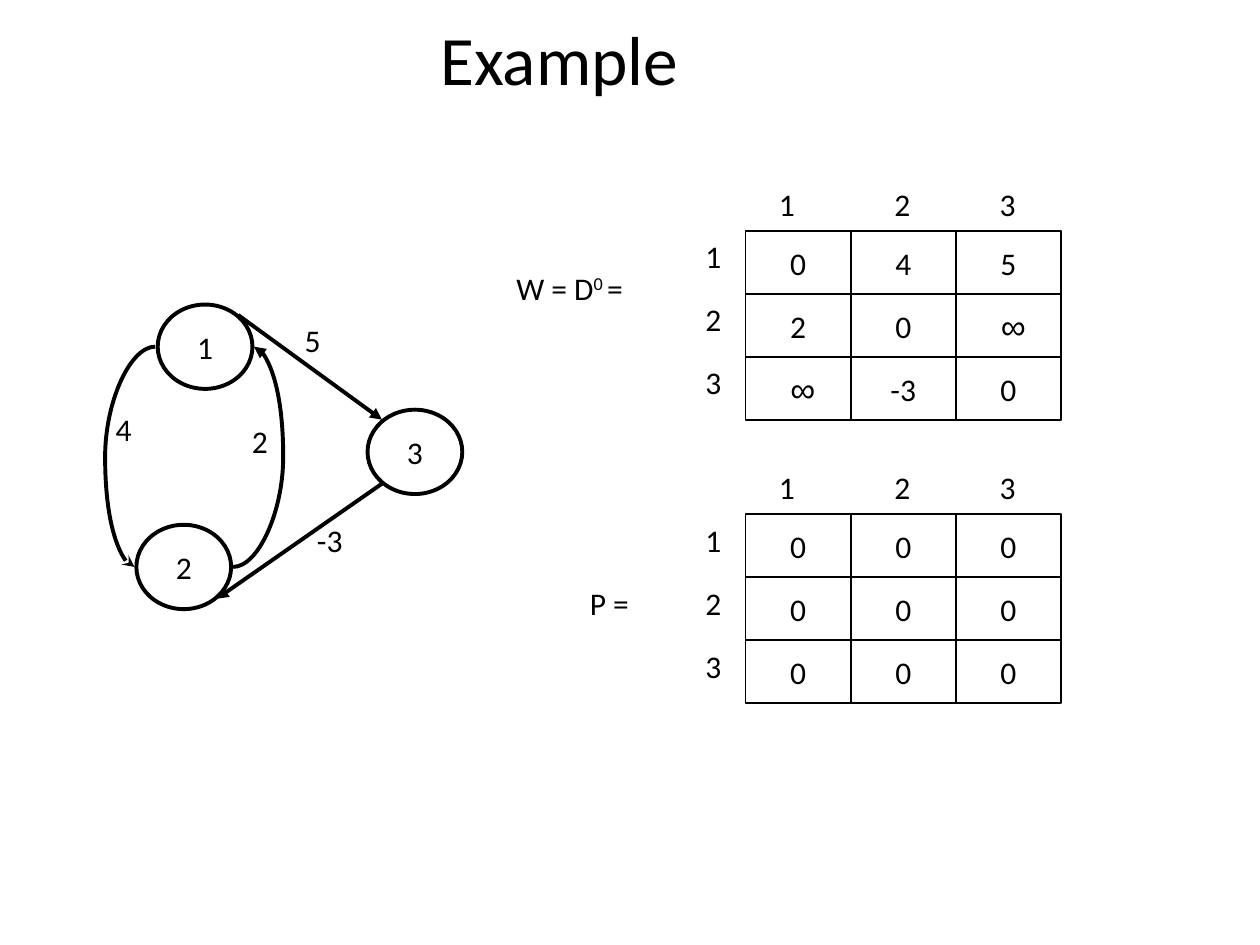
from pptx import Presentation
from pptx.dml.color import RGBColor
from pptx.enum.shapes import MSO_CONNECTOR, MSO_SHAPE
from pptx.enum.text import MSO_ANCHOR, MSO_AUTO_SIZE, PP_ALIGN
from pptx.oxml.xmlchemy import OxmlElement
from pptx.util import Cm, Pt

BLACK = RGBColor(0, 0, 0)
CELL_W, CELL_H = 2.12, 1.27
LABEL_W = 0.94
MATRIX_LEFT = 15.03
ROW_LABEL_LEFT = 13.97
COLUMN_LABEL_LEFTS = (15.45, 17.78, 19.9)
COLUMN_LABEL_RISE = 1.06
NODE_W, NODE_H = 1.91, 1.7
INFINITY = " ∞"


def write(p, text, size=18, font="Calibri", color=BLACK, baseline=None):
    r = p.add_run()
    r.text = text
    r.font.size = Pt(size)
    r.font.name = font
    r.font.color.rgb = color
    if baseline:
        r.font._element.set("baseline", str(baseline))
    return r


class SlideBuilder:
    def __init__(self, s, line_color=BLACK, graph_line=2.25, cell_line=1):
        self.s = s
        self.line_color = line_color
        self.graph_line = graph_line
        self.cell_line = cell_line

    def title(self, text, left, top, width, height):
        sp = self.s.shapes.title
        sp.left, sp.top, sp.width, sp.height = map(Cm, (left, top, width, height))
        tf = sp.text_frame
        tf.auto_size = MSO_AUTO_SIZE.NONE
        tf.vertical_anchor = MSO_ANCHOR.MIDDLE
        p = tf.paragraphs[0]
        p.alignment = PP_ALIGN.CENTER
        write(p, text, size=39.6)

    def label(self, text, left, top, width=LABEL_W, shapes=None):
        shapes = shapes or self.s.shapes
        sp = shapes.add_textbox(Cm(left), Cm(top), Cm(width), Cm(CELL_H))
        tf = sp.text_frame
        tf.word_wrap = False
        tf.auto_size = MSO_AUTO_SIZE.SHAPE_TO_FIT_TEXT
        p = tf.paragraphs[0]
        if text:
            write(p, text)
        return p

    def outlined(self, shapes, kind, text, left, top, width, height, weight):
        sp = shapes.add_shape(kind, Cm(left), Cm(top), Cm(width), Cm(height))
        sp.shadow.inherit = False
        sp.fill.background()
        sp.line.color.rgb = self.line_color
        sp.line.width = Pt(weight)
        tf = sp.text_frame
        tf.word_wrap = False
        tf.vertical_anchor = MSO_ANCHOR.MIDDLE
        p = tf.paragraphs[0]
        p.alignment = PP_ALIGN.CENTER
        if text == INFINITY:
            write(p, text, size=20, font="Arial")
        else:
            write(p, text)

    def node(self, text, left, top):
        self.outlined(self.s.shapes, MSO_SHAPE.OVAL, text, left, top,
                      NODE_W, NODE_H, self.graph_line)

    def matrix(self, top, rows):
        shapes = self.s.shapes.add_group_shape().shapes
        for i, row in enumerate(rows):
            for j, value in enumerate(row):
                self.outlined(shapes, MSO_SHAPE.RECTANGLE, value,
                              MATRIX_LEFT + j * CELL_W, top + i * CELL_H,
                              CELL_W, CELL_H, self.cell_line)
        for j, left in enumerate(COLUMN_LABEL_LEFTS):
            self.label(str(j + 1), left, top - COLUMN_LABEL_RISE, shapes=shapes)
        for i in range(len(rows)):
            self.label(str(i + 1), ROW_LABEL_LEFT, top + i * CELL_H, shapes=shapes)

    def edge(self, start, end, bend=None, arrow="triangle", arrow_end="tailEnd"):
        kind = MSO_CONNECTOR.STRAIGHT if bend is None else MSO_CONNECTOR.CURVE
        cxn = self.s.shapes.add_connector(kind, *map(Cm, start + end))
        cxn.line.color.rgb = self.line_color
        cxn.line.width = Pt(self.graph_line)
        head = OxmlElement(f"a:{arrow_end}")
        head.set("type", arrow)
        cxn.line._get_or_add_ln().append(head)
        spPr = cxn._element.spPr
        spPr.append(OxmlElement("a:effectLst"))
        if bend is not None:
            gd = OxmlElement("a:gd")
            gd.set("name", "adj1")
            gd.set("fmla", f"val {bend}")
            spPr.prstGeom.get_or_add_avLst().append(gd)


def main():
    prs = Presentation()
    prs.slide_width, prs.slide_height = Cm(25.4), Cm(19.05)
    b = SlideBuilder(prs.slides.add_slide(prs.slide_layouts[5]))

    b.title("Example ", 0.64, 0.21, 21.59, 1.91)

    p = b.label("", 10.16, 5.29, 3.73)
    write(p, "W = D")
    write(p, "0 ", baseline=30000)
    write(p, "=")
    b.matrix(4.66, [("0", "4", "5"), ("2", "0", INFINITY), (INFINITY, "-3", "0")])
    b.matrix(10.37, [("0",) * 3] * 3)
    b.label("P =", 11.64, 11.64, 1.68)

    for text, left, top in (("1", 3.18, 6.14), ("2", 2.75, 10.58), ("3", 7.41, 8.26)):
        b.node(text, left, top)

    b.edge((4.8, 6.35), (7.7, 8.46))
    b.edge((7.7, 9.75), (4.37, 12.07))
    b.edge((2.71, 11.43), (3.13, 6.99), bend=-140600, arrow="stealth", arrow_end="headEnd")
    b.edge((4.7, 11.43), (5.12, 6.99), bend=240600)

    b.label("5", 5.89, 6.35)
    b.label("-3", 6.14, 10.37, 1.22)
    b.label("2", 4.83, 8.38)
    b.label("4", 2.08, 8.15)

    prs.save("out.pptx")


if __name__ == "__main__":
    main()
